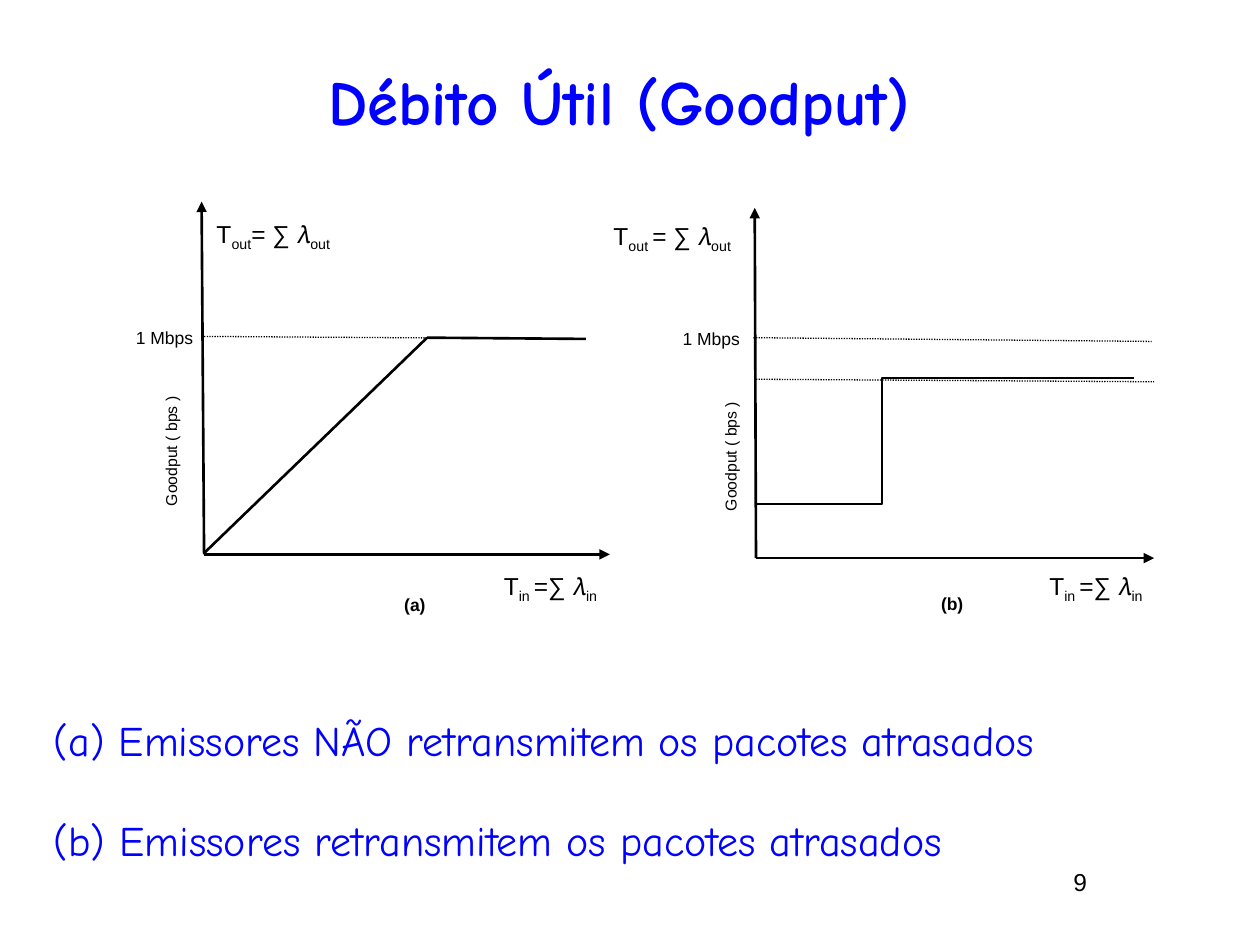
from lxml import etree
from pptx import Presentation
from pptx.dml.color import RGBColor
from pptx.enum.dml import MSO_LINE
from pptx.enum.shapes import MSO_CONNECTOR
from pptx.enum.text import MSO_ANCHOR, PP_ALIGN
from pptx.oxml.ns import qn
from pptx.util import Inches, Pt

STRAIGHT = MSO_CONNECTOR.STRAIGHT
DOT = MSO_LINE.ROUND_DOT
TOP, MIDDLE = MSO_ANCHOR.TOP, MSO_ANCHOR.MIDDLE
LEFT, CENTER = PP_ALIGN.LEFT, PP_ALIGN.CENTER

COLORS = {"ink": "000000", "accent": "0000FF"}
BODY_FONT, TITLE_FONT = "Arial", "Comic Neue"
SUBSCRIPT = "-25000"


def color(name):
    return RGBColor.from_string(COLORS[name])


def add_text(slide, box, paragraphs, size, font=BODY_FONT, ink="ink", bold=False,
             align=LEFT, anchor=TOP, inset=0.1, gap=0, rotation=0):
    """Each paragraph is a list of (text, is_subscript) runs."""
    shape = slide.shapes.add_textbox(*map(Inches, box))
    shape.rotation = rotation
    frame = shape.text_frame
    frame.word_wrap = True
    frame.vertical_anchor = anchor
    frame.margin_left = frame.margin_right = Inches(0.1)
    frame.margin_top = frame.margin_bottom = Inches(inset)
    for index, runs in enumerate(paragraphs):
        paragraph = frame.paragraphs[0] if index == 0 else frame.add_paragraph()
        paragraph.alignment = align
        if index:
            paragraph.space_before = Pt(gap)
        for text, is_subscript in runs:
            run = paragraph.add_run()
            run.text = text
            run.font.name = font
            run.font.size = Pt(size)
            run.font.bold = bold
            run.font.color.rgb = color(ink)
            if is_subscript:
                run.font._element.set("baseline", SUBSCRIPT)


def add_label(slide, box, text, size, **options):
    add_text(slide, box, [[(text, False)]], size, **options)


def add_rate(slide, box, subscript, equals):
    """Formula: T with a subscript equals the sum of lambdas."""
    name = subscript.strip()
    runs = [("T", False), (subscript, True), (equals + "∑ 𝜆", False), (name, True)]
    add_text(slide, box, [runs], 14)


def add_line(slide, start, end, arrow=False, dotted=False):
    connector = slide.shapes.add_connector(STRAIGHT, *map(Inches, start + end))
    connector.line.color.rgb = color("ink")
    connector.line.width = Pt(0.75 if dotted else 1.5)
    if dotted:
        connector.line.dash_style = DOT
    if arrow:
        outline = connector.line._get_or_add_ln()
        etree.SubElement(outline, qn("a:tailEnd"), type="triangle")
    etree.SubElement(connector._element.spPr, qn("a:effectLst"))


def bezier_points(p0, p1, p2, p3, steps=24):
    for step in range(1, steps + 1):
        t = step / steps
        weights = ((1 - t) ** 3, 3 * t * (1 - t) ** 2, 3 * t * t * (1 - t), t ** 3)
        yield tuple(sum(w * p[axis] for w, p in zip(weights, (p0, p1, p2, p3)))
                    for axis in (0, 1))


def add_curve(slide, start, segments):
    points, current = [], start
    for segment in segments:
        points += bezier_points(current, *segment)
        current = segment[-1]
    builder = slide.shapes.build_freeform(*start, scale=Inches(1))
    builder.add_line_segments(points, close=False)
    curve = builder.convert_to_shape()
    curve.shadow.inherit = False
    curve.fill.background()
    curve.line.color.rgb = color("ink")
    curve.line.width = Pt(1.5)


def add_axes(slide, origin, top, right, mbps_box, goodput_box, caption, caption_at):
    add_line(slide, origin, top, arrow=True)
    add_line(slide, (origin[0], right[1]), right, arrow=True)
    add_label(slide, mbps_box, "1 Mbps", 10, align=CENTER, anchor=MIDDLE)
    add_label(slide, goodput_box, "Goodput ( bps )", 9, rotation=270)
    add_label(slide, caption_at + (0.79, 0.42), caption, 10, bold=True)


def add_chart_a(slide):
    add_axes(slide, (1.62, 4.4), (1.6, 1.6), (4.84, 4.4), (0.91, 2.47, 0.79, 0.42),
             (0.76, 3.38, 1.18, 0.29), "(a)", (3.11, 4.63))
    add_rate(slide, (3.9, 4.43, 1.32, 0.48), "in ", "=")
    add_rate(slide, (1.62, 1.64, 1.5, 0.78), "out", "= ")
    add_line(slide, (1.6, 2.67), (4.58, 2.69), dotted=True)
    # Goodput rises to the link capacity and stays there
    knee = (3.39, 2.68)
    add_line(slide, (1.62, 4.39), knee)
    add_line(slide, knee, (4.65, 2.69))


def add_chart_b(slide):
    add_axes(slide, (6, 4.43), (5.99, 1.65), (9.16, 4.43), (5.28, 2.52, 0.73, 0.34),
             (5.22, 3.43, 1.15, 0.3), "(b)", (7.37, 4.62))
    add_rate(slide, (8.23, 4.43, 1.03, 0.48), "in ", "=")
    add_rate(slide, (4.77, 1.65, 1.21, 0.42), "out ", "= ")
    add_line(slide, (5.98, 2.68), (9.14, 2.71), dotted=True)
    add_line(slide, (6, 3.01), (9.16, 3.03), dotted=True)
    # Goodput levels off below the link capacity
    add_curve(slide, (6.02, 4.43), [
        ((6.23, 4.24), (6.77, 3.51), (7.3, 3.28)),
        ((7.83, 3.04), (8.86, 3.07), (9.17, 3.03)),
    ])


def main():
    presentation = Presentation()
    presentation.slide_width, presentation.slide_height = Inches(10), Inches(7.5)
    slide = presentation.slides.add_slide(presentation.slide_layouts[6])

    # Title and page number
    add_label(slide, (0.33, 0.42, 9.17, 0.75), "Débito Útil (Goodput)", 36,
              font=TITLE_FONT, ink="accent", bold=True, align=CENTER, anchor=MIDDLE)
    add_label(slide, (8.42, 6.83, 1, 0.42), "9", 14, inset=0.05)

    # Goodput charts
    add_chart_a(slide)
    add_chart_b(slide)

    # Explanation of both cases
    cases = ["(a) Emissores NÃO retransmitem os pacotes atrasados",
             "(b) Emissores retransmitem os pacotes atrasados"]
    add_text(slide, (0.33, 5.62, 8.92, 1.54), [[(case, False)] for case in cases], 24,
             font=TITLE_FONT, ink="accent", inset=0.05, gap=28.5)

    presentation.save("out.pptx")


if __name__ == "__main__":
    main()
